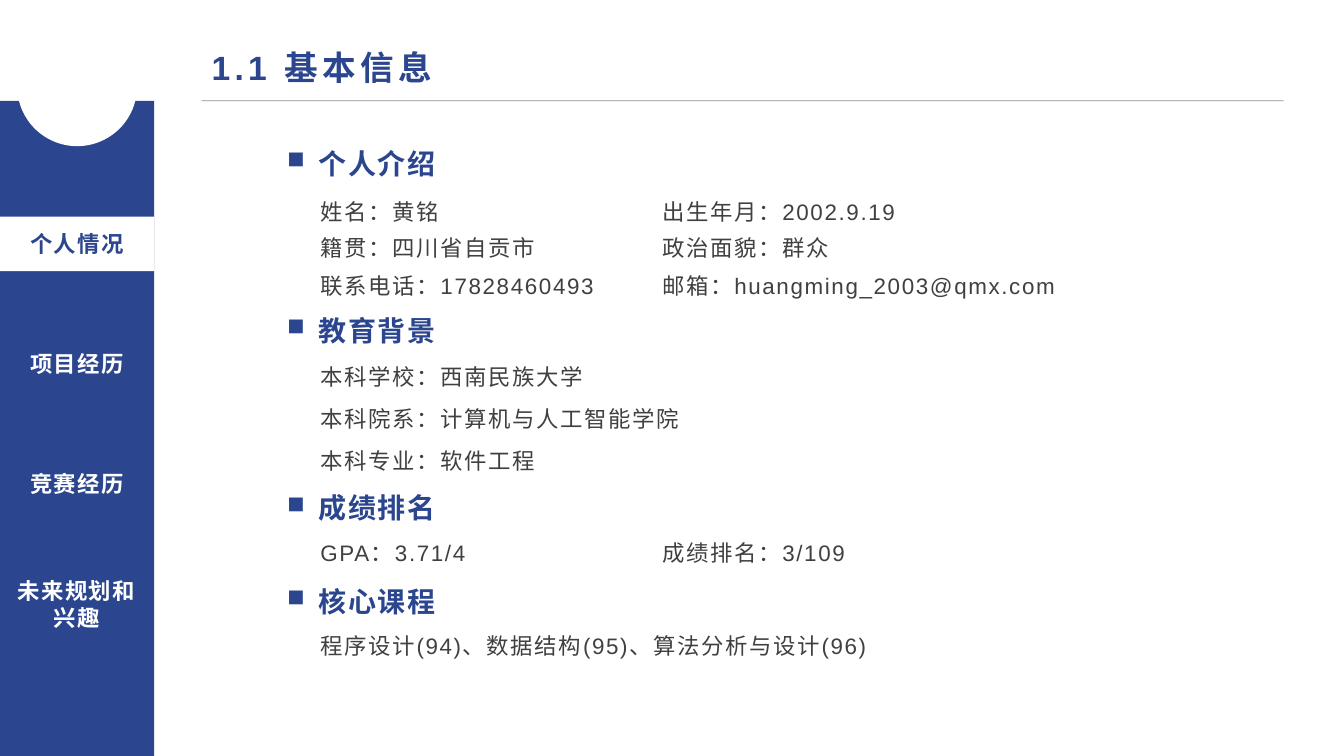
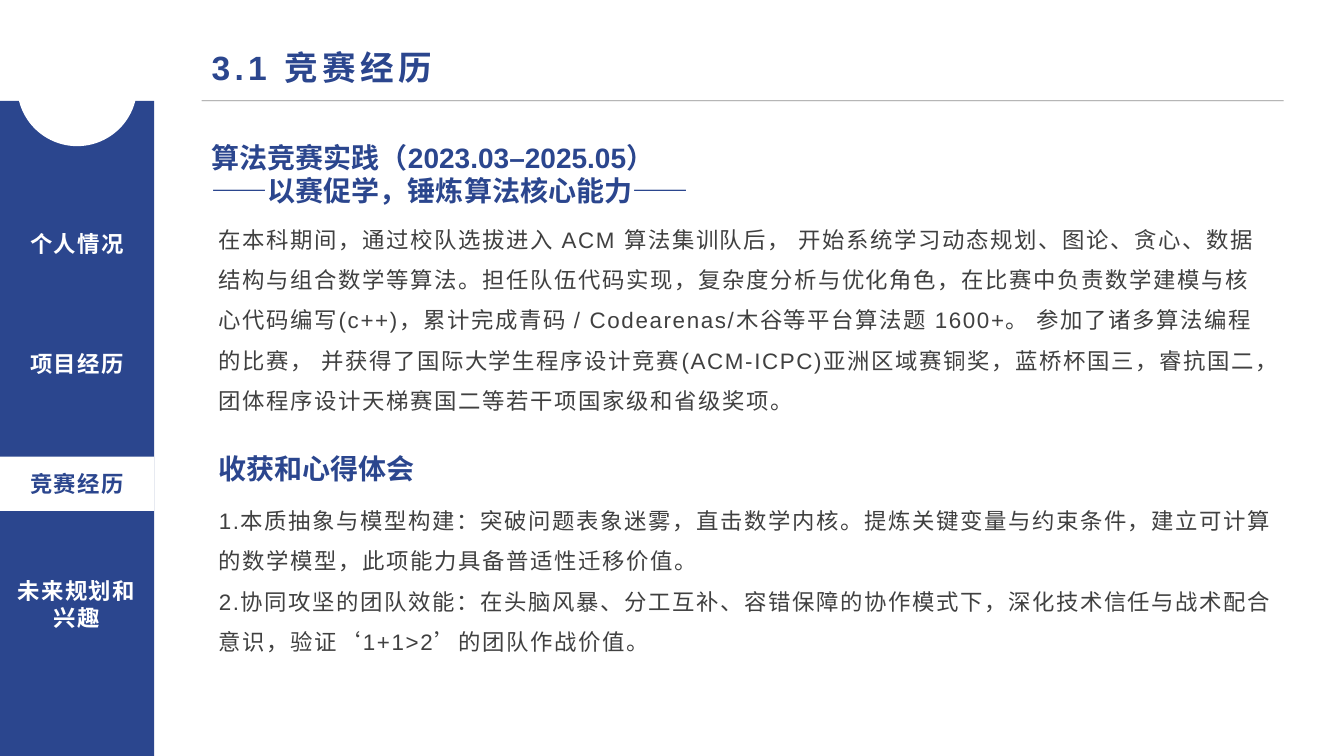
"""Build two résumé slides that share a navigation sidebar and a title rule."""
from dataclasses import dataclass

from lxml import etree
from pptx import Presentation
from pptx import util as u
from pptx.dml.color import RGBColor
from pptx.enum import lang, shapes, text
from pptx.oxml.ns import qn


@dataclass(frozen=True)
class Style:
    size: float
    color: str
    bold: bool = False
    tracking: float = 0
    latin: str = "Arial"


class Theme:
    blue, white, grey, rule = "2B468E", "FFFFFF", "404040", "0D0D0D"
    cjk = "Noto Sans CJK SC"
    title = Style(24, blue, True, 3)
    heading = Style(20, blue, True, 1.2)
    subhead = Style(20, blue, True)
    body = Style(16, grey, False, 1.2)
    nav = Style(16, white, True, 1.1, cjk)
    nav_active = Style(16, blue, True, 1.1, cjk)


NAV = ["个人情况", "项目经历", "竞赛经历", "未来规划和兴趣"]
NAV_TOP, NAV_STEP, NAV_HEIGHT, SIDEBAR = 2.15, 1.19, 0.54, 1.53
BULLET_X, LEFT_X, RIGHT_X = 2.75, 3.08, 6.47

HEADINGS = [("个人介绍", 1.4), ("教育背景", 3.06), ("成绩排名", 4.82), ("核心课程", 5.75)]
FACT_ROWS = [
    (1.92, "姓名：黄铭", "出生年月：2002.9.19"),
    (2.27, "籍贯：四川省自贡市", "政治面貌：群众"),
    (2.65, "联系电话：17828460493", "邮箱：huangming_2003@qmx.com"),
    (5.3, "GPA：3.71/4", "成绩排名：3/109"),
]
EDUCATION = ["本科学校：西南民族大学", "本科院系：计算机与人工智能学院", "本科专业：软件工程"]
COURSES = "程序设计(94)、数据结构(95)、算法分析与设计(96)"

CONTEST_HEAD = ["算法竞赛实践（2023.03–2025.05）", "——以赛促学，锤炼算法核心能力——"]
CONTEST_STORY = (
    "在本科期间，通过校队选拔进入 ACM 算法集训队后， 开始系统学习动态规划、图论、贪心、"
    "数据结构与组合数学等算法。担任队伍代码实现，复杂度分析与优化角色，在比赛中负责数学建模"
    "与核心代码编写(c++)，累计完成青码 / Codearenas/木谷等平台算法题 1600+。 "
    "参加了诸多算法编程的比赛， 并获得了国际大学生程序设计竞赛(ACM-ICPC)亚洲区域赛铜奖，"
    "蓝桥杯国三，睿抗国二，团体程序设计天梯赛国二等若干项国家级和省级奖项。"
)
LESSONS = [
    "1.本质抽象与模型构建：突破问题表象迷雾，直击数学内核。提炼关键变量与约束条件，"
    "建立可计算的数学模型，此项能力具备普适性迁移价值。",
    "2.协同攻坚的团队效能：在头脑风暴、分工互补、容错保障的协作模式下，"
    "深化技术信任与战术配合意识，验证‘1+1>2’的团队作战价值。",
]


def inches(*values):
    return [u.Inches(v) for v in values]


def style_run(r, style):
    r.font.size, r.font.bold, r.font.name = u.Pt(style.size), style.bold, style.latin
    r.font.color.rgb = RGBColor.from_string(style.color)
    r.font.language_id = lang.MSO_LANGUAGE_ID.SIMPLIFIED_CHINESE
    rPr = r.font._element
    rPr.set("spc", str(round(style.tracking * 100)))
    ea = etree.Element(qn("a:ea"), typeface=Theme.cjk)
    rPr.find(qn("a:latin")).addnext(ea)


def set_bullet(p, char=None):
    pPr = p._p.get_or_add_pPr()
    hang = u.Inches(0.31) if char else 0
    pPr.set("marL", str(hang))
    pPr.set("indent", str(-hang))
    if char:
        etree.SubElement(pPr, qn("a:buSzPct"), val="85000")
        etree.SubElement(pPr, qn("a:buChar"), char=char)
    else:
        etree.SubElement(pPr, qn("a:buNone"))


def write(sp, lines, style, align=text.PP_ALIGN.LEFT, anchor=text.MSO_ANCHOR.TOP,
          spacing=1.0, gap=0, bullet=None):
    tf = sp.text_frame
    tf.text = "\n".join(lines)
    tf.word_wrap, tf.auto_size = True, text.MSO_AUTO_SIZE.NONE
    tf.vertical_anchor = anchor
    for i, p in enumerate(tf.paragraphs):
        set_bullet(p, bullet)
        p.alignment, p.line_spacing = align, spacing
        p.space_before, p.space_after = u.Pt(gap if i else 0), u.Pt(0)
        for r in p.runs:
            style_run(r, style)


def add_text(s, box, lines, style, **options):
    write(s.shapes.add_textbox(*inches(*box)), lines, style, **options)


def fill_placeholder(sp, box, lines, style, **options):
    sp.left, sp.top, sp.width, sp.height = inches(*box)
    write(sp, lines, style, **options)


def add_block(s, kind, box, color):
    sp = s.shapes.add_shape(kind, *inches(*box))
    sp.shadow.inherit = False
    sp.fill.solid()
    sp.fill.fore_color.rgb = RGBColor.from_string(color)
    sp.line.fill.background()
    return sp


def add_rule(s):
    ln = s.shapes.add_connector(shapes.MSO_CONNECTOR.STRAIGHT, *inches(2, 1, 12.73, 1))
    ln.line.width = u.Pt(0.5)
    ln.line.color.rgb = RGBColor.from_string(Theme.rule)
    color = ln._element.spPr.find(".//" + qn("a:srgbClr"))
    etree.SubElement(color, qn("a:alpha"), val="46000")
    etree.SubElement(ln._element.spPr, qn("a:effectLst"))


def add_sidebar(s, active):
    kind = shapes.MSO_SHAPE
    add_block(s, kind.RECTANGLE, (0, 1, SIDEBAR, 6.5), Theme.blue)
    add_block(s, kind.OVAL, (0.17, 0.26, 1.19, 1.19), Theme.white)
    centred = {"align": text.PP_ALIGN.CENTER, "anchor": text.MSO_ANCHOR.MIDDLE}
    for i, label in enumerate(NAV):
        box = (0, NAV_TOP + i * NAV_STEP, SIDEBAR, NAV_HEIGHT)
        if label == active:
            sp = add_block(s, kind.RECTANGLE, box, Theme.white)
            write(sp, [label], Theme.nav_active, **centred)
        else:
            add_text(s, box, [label], Theme.nav, **centred)


def add_slide(prs, title, active):
    s = prs.slides.add_slide(prs.slide_layouts[1])
    fill_placeholder(s.shapes.title, (2, 0.42, 11.73, 0.5), [title], Theme.title)
    add_rule(s)
    add_sidebar(s, active)
    return s


def build_profile(prs):
    s = add_slide(prs, "1.1 基本信息", "个人情况")
    for heading, top in HEADINGS:
        add_text(s, (BULLET_X, top, 6.56, 0.44), [heading], Theme.heading, bullet="■")
    for top, left, right in FACT_ROWS:
        add_text(s, (LEFT_X, top, 3.1, 0.37), [left], Theme.body)
        add_text(s, (RIGHT_X, top, 4.65, 0.37), [right], Theme.body)
    fill_placeholder(s.placeholders[1], (LEFT_X, 3.55, 7.78, 1.23), EDUCATION,
                     Theme.body, gap=11)
    add_text(s, (LEFT_X, 6.22, 7.78, 0.37), [COURSES], Theme.body)


def build_contests(prs):
    s = add_slide(prs, "3.1 竞赛经历", "竞赛经历")
    add_text(s, (2, 1.34, 8.7, 0.77), CONTEST_HEAD, Theme.subhead)
    add_text(s, (2.07, 2.06, 10.66, 2.28), [CONTEST_STORY], Theme.body, spacing=1.5)
    add_text(s, (2.07, 4.43, 4.44, 0.44), ["收获和心得体会"], Theme.subhead)
    fill_placeholder(s.placeholders[1], (2.07, 4.85, 10.84, 1.95), LESSONS,
                     Theme.body, spacing=1.5)


def main():
    prs = Presentation()
    prs.slide_width, prs.slide_height = inches(13.33, 7.5)
    build_profile(prs)
    build_contests(prs)
    prs.save("out.pptx")


if __name__ == "__main__":
    main()
